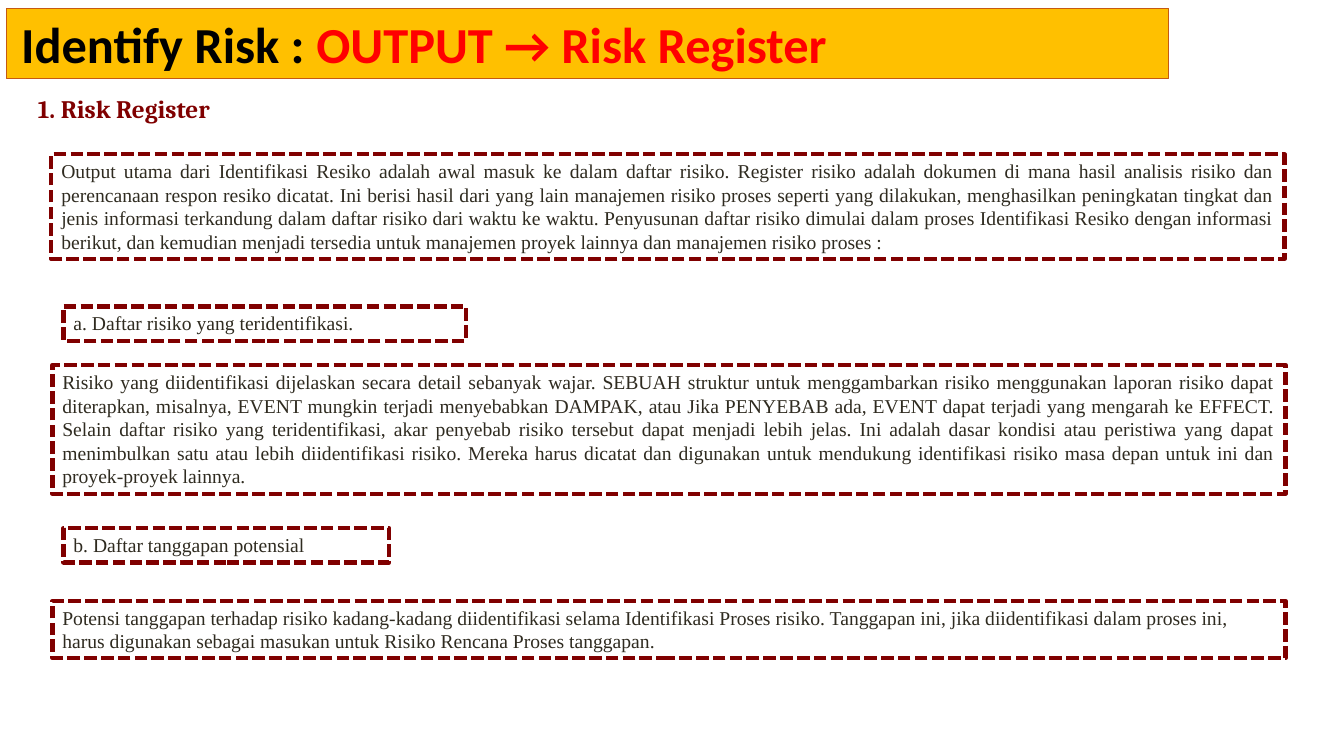
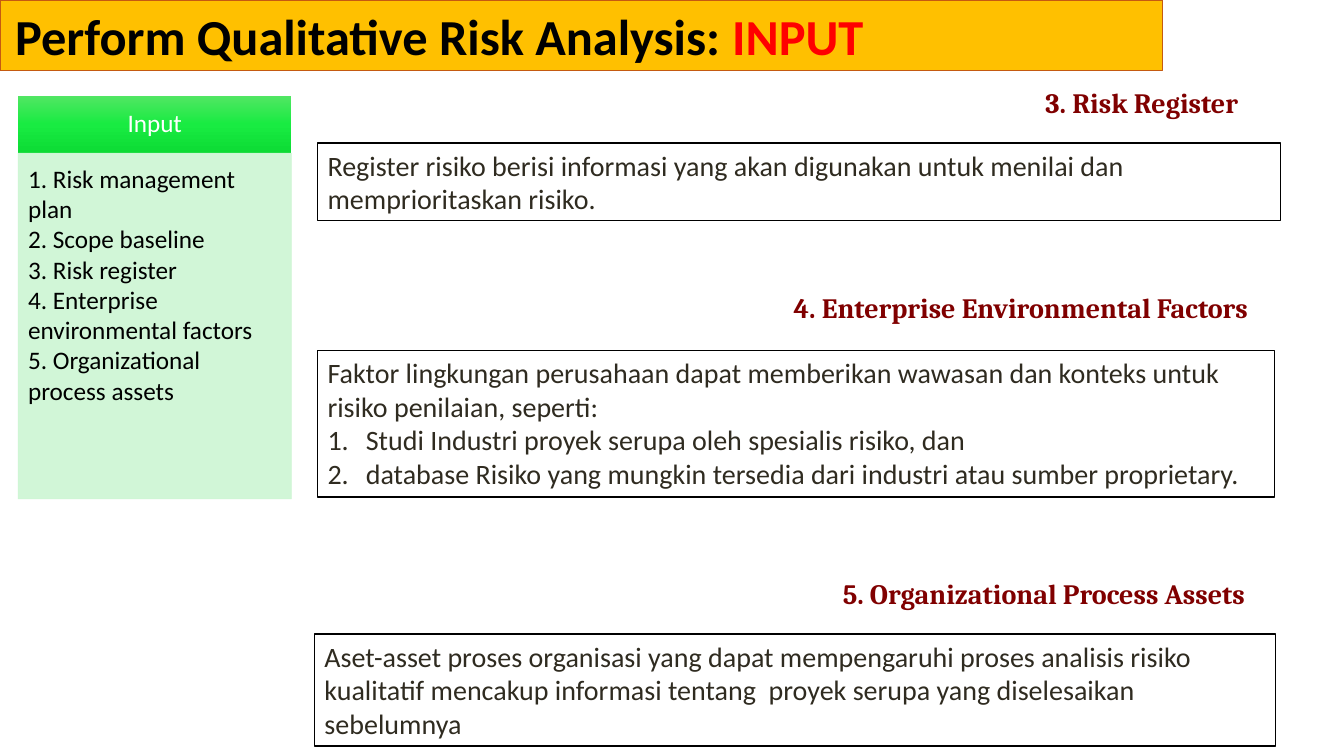
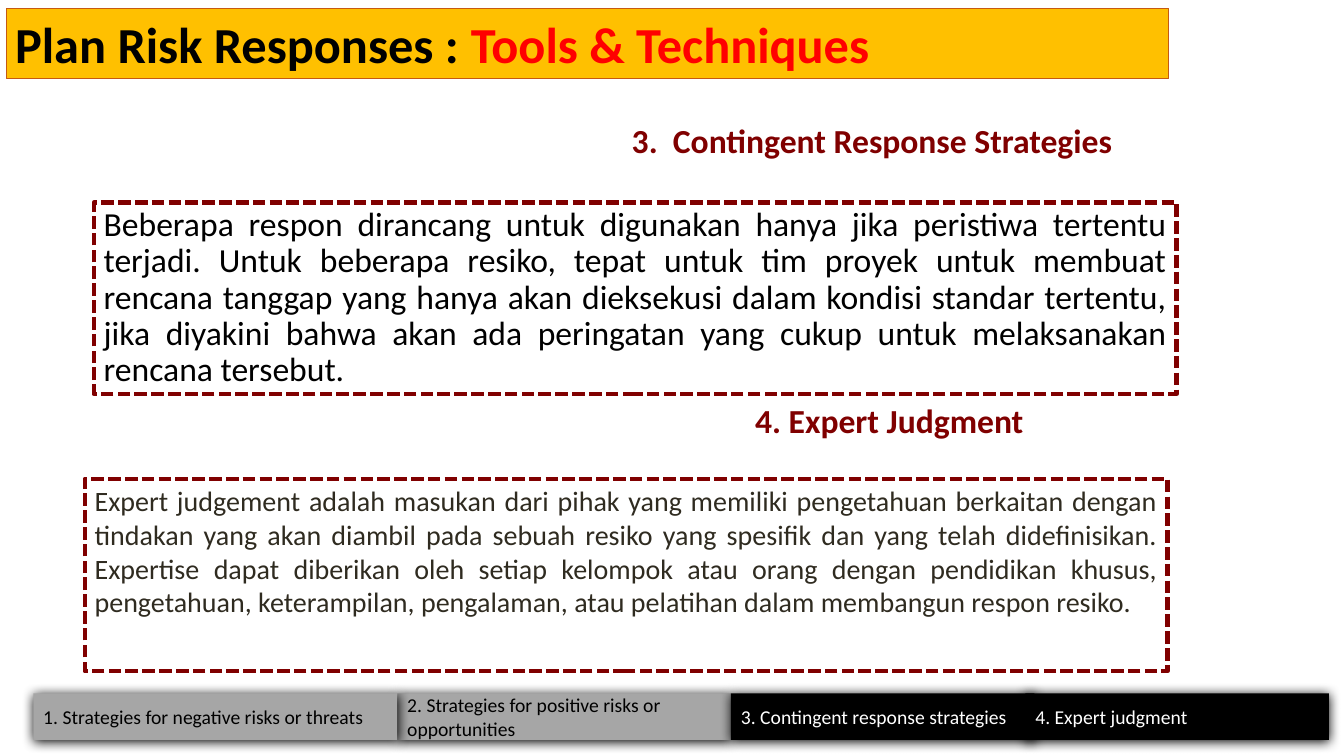
from dataclasses import dataclass
from typing import Optional

from lxml import etree
from pptx import Presentation
from pptx.dml.color import RGBColor
from pptx.enum import dml, shapes, text
from pptx.oxml.ns import qn
from pptx.util import Inches, Pt

# Shared palette, fonts and alignments
BAND, BAND_LINE, ACCENT, MAROON = "FFC000", "C55A11", "FF0000", "800000"
INK, BLACK, WHITE, GREY, MINT = "2F2B20", "000000", "FFFFFF", "A6A6A6", "CCF6D3"
SANS, SERIF, ROMAN = "Calibri", "Cambria", "Times New Roman"
LEFT, CENTER, RIGHT, JUSTIFY = (text.PP_ALIGN.LEFT, text.PP_ALIGN.CENTER,
                                text.PP_ALIGN.RIGHT, text.PP_ALIGN.JUSTIFY)
INSETS = (0.1, 0.05, 0.1, 0.05)


@dataclass
class Style:
    size: float
    font: str = SANS
    color: str = INK
    bold: bool = False
    align: text.PP_ALIGN = LEFT
    spacing: Optional[float] = None


@dataclass
class Box:
    at: tuple[float, float, float, float]
    paragraphs: list[str]
    style: Style
    fill: Optional[str] = None
    line: Optional[str] = None
    weight: float = 1
    dashed: bool = False
    middle: bool = False
    insets: tuple[float, float, float, float] = INSETS
    numbered_from: Optional[int] = None


def rgb(value: str) -> RGBColor:
    return RGBColor.from_string(value)


def place(sp, at: tuple[float, float, float, float]) -> None:
    sp.left, sp.top, sp.width, sp.height = map(Inches, at)


def set_insets(tf, insets: tuple[float, float, float, float]) -> None:
    tf.margin_left, tf.margin_top, tf.margin_right, tf.margin_bottom = map(Inches, insets)


def format_run(r, style: Style) -> None:
    r.font.name, r.font.size, r.font.bold = style.font, Pt(style.size), style.bold
    r.font.color.rgb = rgb(style.color)


def number(p) -> None:
    pPr = p._p.get_or_add_pPr()
    pPr.set("marL", str(Inches(0.38)))
    pPr.set("indent", str(-Inches(0.38)))
    etree.SubElement(pPr, qn("a:buFont"), typeface="+mj-lt")
    etree.SubElement(pPr, qn("a:buAutoNum"), type="arabicPeriod")


def add_color(parent, value: str, alpha: int = 100) -> None:
    clr = etree.SubElement(parent, qn("a:srgbClr"), val=value)
    etree.SubElement(clr, qn("a:alpha"), val=str(alpha * 1000))


def add_box(s, box: Box):
    sp = s.shapes.add_shape(shapes.MSO_SHAPE.RECTANGLE, *map(Inches, box.at))
    sp.shadow.inherit = False
    if box.fill:
        sp.fill.solid()
        sp.fill.fore_color.rgb = rgb(box.fill)
    else:
        sp.fill.background()
    if box.line:
        sp.line.color.rgb = rgb(box.line)
        sp.line.width = Pt(box.weight)
        if box.dashed:
            sp.line.dash_style = dml.MSO_LINE.SQUARE_DOT
    else:
        sp.line.fill.background()

    tf = sp.text_frame
    tf.word_wrap = True
    tf.vertical_anchor = text.MSO_ANCHOR.MIDDLE if box.middle else text.MSO_ANCHOR.TOP
    set_insets(tf, box.insets)
    tf.text = "\n".join(box.paragraphs)
    for i, p in enumerate(tf.paragraphs):
        p.alignment = box.style.align
        if box.style.spacing:
            p.line_spacing = box.style.spacing
        if box.numbered_from is not None and i >= box.numbered_from:
            number(p)
        for r in p.runs:
            format_run(r, box.style)
    return sp


def add_title(prs, lead: str, accent: str, left: float, top: float, inset: float):
    """New slide whose title placeholder is the coloured band."""
    s = prs.slides.add_slide(prs.slide_layouts[5])
    sp = s.shapes.title
    place(sp, (left, top, 11.53, 0.7))
    sp.fill.solid()
    sp.fill.fore_color.rgb = rgb(BAND)
    sp.line.color.rgb = rgb(BAND_LINE)
    sp.line.width = Pt(0.75)
    tf = sp.text_frame
    tf.auto_size = text.MSO_AUTO_SIZE.NONE
    tf.vertical_anchor = text.MSO_ANCHOR.MIDDLE
    set_insets(tf, (inset, 0.05, 0.09, 0.05))
    p = tf.paragraphs[0]
    p.alignment = LEFT
    for words, color in ((lead, BLACK), (accent, ACCENT)):
        r = p.add_run()
        r.text = words
        format_run(r, Style(36, color=color, bold=True))
    return s


def add_heading(s, words: str, at: tuple[float, float, float, float],
                size: float, font: str) -> None:
    add_box(s, Box(at, [words], Style(size, font, MAROON, True, RIGHT)))


def add_dashed(s, words: str, at: tuple[float, float, float, float], style: Style) -> None:
    add_box(s, Box(at, [words], style, line=MAROON, weight=3, dashed=True))


def set_gradient(sp, colors: list[str]) -> None:
    """Top-to-bottom gradient with evenly spaced stops."""
    sp.fill.gradient()
    sp.fill.gradient_angle = 270
    stops = sp._element.spPr.find(".//" + qn("a:gsLst"))
    for gs in list(stops):
        stops.remove(gs)
    for i, color in enumerate(colors):
        pos = i * 100000 // (len(colors) - 1)
        add_color(etree.SubElement(stops, qn("a:gs"), pos=str(pos)), color)


def set_glow_shadow(sp) -> None:
    effects = sp._element.spPr.find(qn("a:effectLst"))
    shadow = etree.SubElement(effects, qn("a:outerShdw"), blurRad=str(Pt(8.5)),
                              dist=str(Pt(1)), dir="5400000", rotWithShape="0")
    add_color(shadow, BLACK)


def build_register(prs) -> None:
    s = add_title(prs, "Identify Risk : ", "OUTPUT → Risk Register", 0.06, 0.08, 0.15)
    add_heading(s, "1. Risk Register", (0.1, 0.88, 2.08, 0.4), 18, SERIF)
    plain, justified = Style(14, ROMAN), Style(14, ROMAN, align=JUSTIFY)
    for at, style, words in [
        ((0.51, 1.53, 12.23, 1.04), justified,
         "Output utama dari Identifikasi Resiko adalah awal masuk ke dalam daftar risiko. "
         "Register risiko adalah dokumen di mana hasil analisis risiko dan perencanaan respon "
         "resiko dicatat. Ini berisi hasil dari yang lain manajemen risiko proses seperti yang "
         "dilakukan, menghasilkan peningkatan tingkat dan jenis informasi terkandung dalam "
         "daftar risiko dari waktu ke waktu. Penyusunan daftar risiko dimulai dalam proses "
         "Identifikasi Resiko dengan informasi berikut, dan kemudian menjadi tersedia untuk "
         "manajemen proyek lainnya dan manajemen risiko proses :"),
        ((0.63, 3.04, 3.99, 0.34), plain, "a. Daftar risiko yang teridentifikasi."),
        ((0.52, 3.62, 12.23, 1.28), justified,
         "Risiko yang diidentifikasi dijelaskan secara detail sebanyak wajar. SEBUAH struktur "
         "untuk menggambarkan risiko menggunakan laporan risiko dapat diterapkan, misalnya, "
         "EVENT mungkin terjadi menyebabkan DAMPAK, atau Jika PENYEBAB ada, EVENT dapat terjadi "
         "yang mengarah ke EFFECT. Selain daftar risiko yang teridentifikasi, akar penyebab "
         "risiko tersebut dapat menjadi lebih jelas. Ini adalah dasar kondisi atau peristiwa "
         "yang dapat menimbulkan satu atau lebih diidentifikasi risiko. Mereka harus dicatat "
         "dan digunakan untuk mendukung identifikasi risiko masa depan untuk ini dan "
         "proyek-proyek lainnya."),
        ((0.63, 5.24, 3.23, 0.34), plain, "b. Daftar tanggapan potensial"),
        ((0.52, 5.96, 12.23, 0.57), plain,
         "Potensi tanggapan terhadap risiko kadang-kadang diidentifikasi selama Identifikasi "
         "Proses risiko. Tanggapan ini, jika diidentifikasi dalam proses ini, harus digunakan "
         "sebagai masukan untuk Risiko Rencana Proses tanggapan."),
    ]:
        add_dashed(s, words, at, style)


def build_qualitative_input(prs) -> None:
    s = add_title(prs, "Perform Qualitative Risk Analysis: ", "INPUT", 0, 0, 0.15)

    # Input card
    header = add_box(s, Box((0.18, 0.95, 2.71, 0.57), ["Input"],
                            Style(18, color=WHITE, align=CENTER, spacing=0.9), middle=True))
    set_gradient(header, ["51E663", "19EB42", "0CDB34"])
    card = add_box(s, Box((0.18, 1.52, 2.71, 3.43), [
        "1. Risk management plan", "2. Scope baseline", "3. Risk register",
        "4. Enterprise environmental factors", "5. Organizational process assets",
    ], Style(18, color=BLACK), MINT, MINT, 0.5, insets=(0.1, 0.1, 0.14, 0.16)))
    for clr in card._element.spPr.iter(qn("a:srgbClr")):
        etree.SubElement(clr, qn("a:alpha"), val="90000")

    # Inputs explained
    for words, at in [
        ("3. Risk Register", (8.7, 0.8, 3.68, 0.44)),
        ("4. Enterprise Environmental Factors", (5.5, 2.83, 6.98, 0.44)),
        ("5. Organizational Process Assets", (6.02, 5.67, 6.43, 0.44)),
    ]:
        add_heading(s, words, at, 20, SERIF)
    for at, paragraphs in [
        ((3.15, 1.42, 9.55, 0.77),
         ["Register risiko berisi informasi yang akan digunakan untuk menilai dan "
          "memprioritaskan risiko."]),
        ((3.15, 3.48, 9.49, 1.45),
         ["Faktor lingkungan perusahaan dapat memberikan wawasan dan konteks untuk risiko "
          "penilaian, seperti:",
          "Studi Industri proyek serupa oleh spesialis risiko, dan",
          "database Risiko yang mungkin tersedia dari industri atau sumber proprietary."]),
        ((3.12, 6.29, 9.53, 1.11),
         ["Aset-asset proses organisasi yang dapat mempengaruhi proses analisis risiko "
          "kualitatif mencakup informasi tentang  proyek serupa yang diselesaikan sebelumnya"]),
    ]:
        add_box(s, Box(at, paragraphs, Style(20), WHITE, BLACK, numbered_from=1))


def build_responses(prs) -> None:
    s = add_title(prs, "Plan Risk Responses : ", "Tools & Techniques", 0.06, 0.08, 0.09)

    # Technique tracker, dark for the current topics
    for left, width, words, fill, color in [
        (3.94, 3.31, "2. Strategies for positive risks or opportunities", GREY, BLACK),
        (7.25, 3.01, "3. Contingent response strategies", BLACK, WHITE),
        (0.33, 3.61, "1. Strategies for negative risks or threats", GREY, BLACK),
        (10.17, 3.01, "4. Expert judgment", BLACK, WHITE),
    ]:
        set_glow_shadow(add_box(s, Box((left, 6.88, width, 0.46), [words],
                                       Style(14, color=color), fill, middle=True)))

    # Techniques explained
    add_heading(s, "3.  Contingent Response Strategies", (4.47, 1.14, 6.66, 0.5), 24, SANS)
    add_dashed(
        s, "Beberapa respon dirancang untuk digunakan hanya jika peristiwa tertentu terjadi. "
        "Untuk beberapa resiko, tepat untuk tim proyek untuk membuat rencana tanggap yang hanya "
        "akan dieksekusi dalam kondisi standar tertentu, jika diyakini bahwa akan ada "
        "peringatan yang cukup untuk melaksanakan rencana tersebut.",
        (0.93, 2.01, 10.74, 1.9), Style(24, color=BLACK, align=JUSTIFY, spacing=0.9))
    add_heading(s, "4. Expert Judgment", (5.33, 3.92, 4.92, 0.5), 24, SANS)
    add_dashed(
        s, "Expert judgement adalah masukan dari pihak yang memiliki pengetahuan berkaitan "
        "dengan tindakan yang akan diambil pada sebuah resiko yang spesifik dan yang telah "
        "didefinisikan. Expertise dapat diberikan oleh setiap kelompok atau orang dengan "
        "pendidikan khusus, pengetahuan, keterampilan, pengalaman, atau pelatihan dalam "
        "membangun respon resiko.",
        (0.84, 4.75, 10.74, 1.91), Style(20, align=JUSTIFY))


def main() -> None:
    prs = Presentation()
    prs.slide_width, prs.slide_height = Inches(13.33), Inches(7.5)
    build_register(prs)
    build_qualitative_input(prs)
    build_responses(prs)
    prs.save("out.pptx")


if __name__ == "__main__":
    main()
